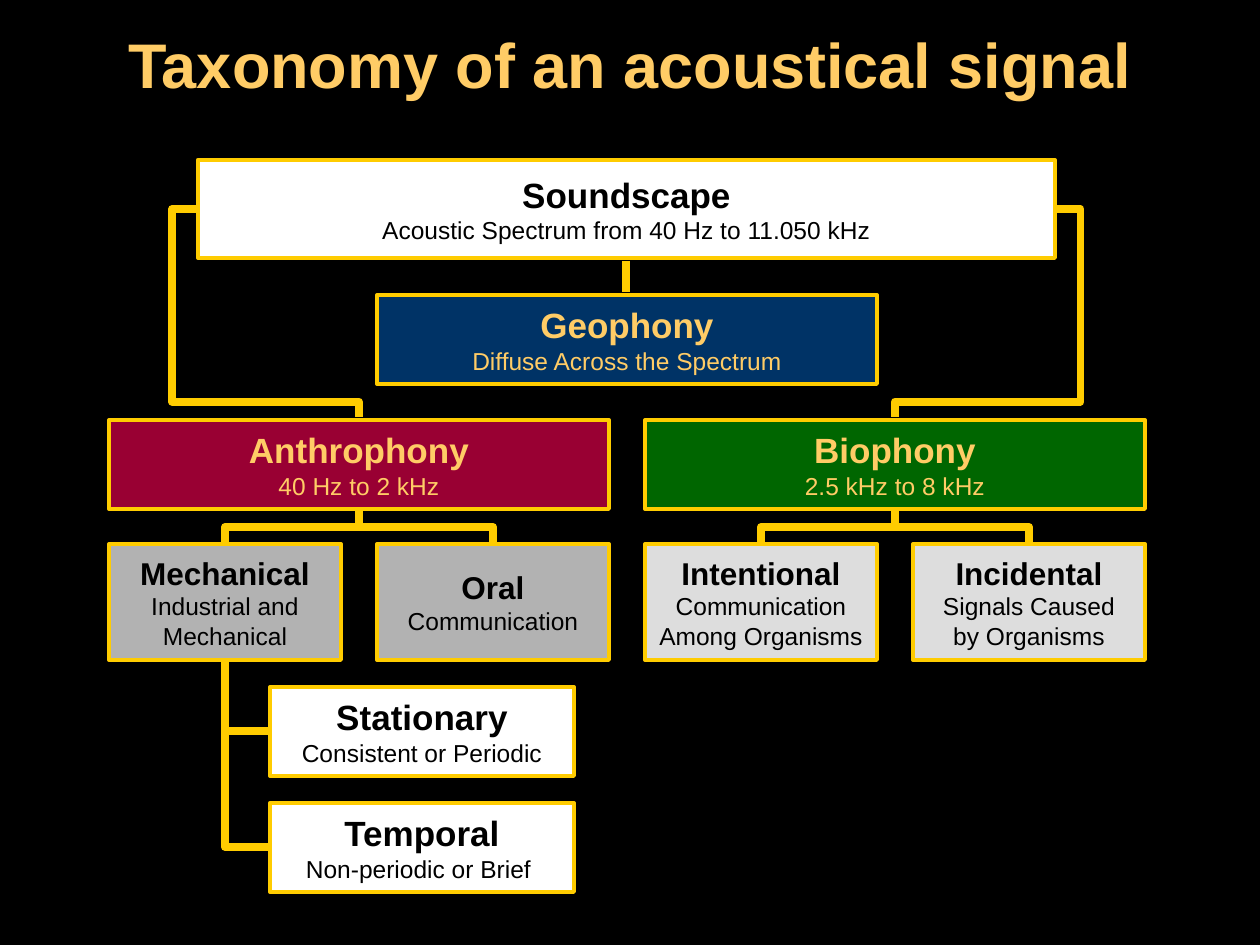
"""Build a slide with a tree of the parts of an acoustical signal."""
from lxml.etree import SubElement
from pptx import Presentation
from pptx.dml.color import RGBColor
from pptx.enum.shapes import MSO_CONNECTOR, MSO_SHAPE
from pptx.enum.text import MSO_ANCHOR, PP_ALIGN
from pptx.oxml.ns import qn
from pptx.util import Pt

PX = 914400 // 126
BLACK = RGBColor(0x00, 0x00, 0x00)
WHITE = RGBColor(0xFF, 0xFF, 0xFF)
GOLD = RGBColor(0xFF, 0xCC, 0x00)
SAND = RGBColor(0xFF, 0xCC, 0x66)
NAVY = RGBColor(0x00, 0x33, 0x66)
GREEN = RGBColor(0x00, 0x66, 0x00)
WINE = RGBColor(0x99, 0x00, 0x33)
PALE = RGBColor(0xDD, 0xDD, 0xDD)
GRAY = RGBColor(0xB2, 0xB2, 0xB2)

TITLE = "Taxonomy of an acoustical signal"
ROOT = ("Soundscape", "Acoustic Spectrum from 40 Hz to 11.050 kHz")
GEO = ("Geophony", "Diffuse Across the Spectrum")
BRANCHES = [
    (("Anthrophony", "40 Hz to 2 kHz"), WINE, GRAY, [
        ("Mechanical", "Industrial and", "Mechanical"),
        ("Oral", "Communication")]),
    (("Biophony", "2.5 kHz to 8 kHz"), GREEN, PALE, [
        ("Intentional", "Communication", "Among Organisms"),
        ("Incidental", "Signals Caused", "by Organisms")]),
]
KINDS = [("Stationary", "Consistent or Periodic"),
         ("Temporal", "Non-periodic or Brief ")]

LEFT, STEP, SLIM = 109, 268, 232
WIDE, LOW = STEP + SLIM, 89
ROOT_X, ROOT_Y, ROOT_W, ROOT_H = 198, 160, 857, 98
GEO_Y, MID_Y, LEAF_Y, LEAF_H = 295, 420, 544, 116
KIND_X, KIND_Y, KIND_W, KIND_GAP = 270, 687, 304, 116


def write(para, text, size, color, bold):
    para.alignment = PP_ALIGN.CENTER
    run = para.add_run()
    run.text = text
    font = run.font
    font.name, font.size, font.bold = "Arial", Pt(size), bold
    font.color.rgb = color


def add_box(slide, lines, x, y, w, h, fill, ink=BLACK, size=20):
    box = slide.shapes.add_shape(
        MSO_SHAPE.RECTANGLE, *(n * PX for n in (x, y, w, h)))
    box.shadow.inherit = False
    box.fill.solid()
    box.fill.fore_color.rgb = fill
    box.line.color.rgb = GOLD
    box.line.width = Pt(2.25)
    frame = box.text_frame
    frame.word_wrap = False
    frame.vertical_anchor = MSO_ANCHOR.MIDDLE
    for i, line in enumerate(lines):
        para = frame.add_paragraph() if i else frame.paragraphs[0]
        write(para, line, 14 if i else size, ink, i == 0)


def add_link(slide, start, end, preset="line", adjust=()):
    link = slide.shapes.add_connector(
        MSO_CONNECTOR.STRAIGHT, *(n * PX for n in (*start, *end)))
    link.line.color.rgb = GOLD
    link.line.width = Pt(4.5)
    props = link._element.spPr
    SubElement(props, qn("a:effectLst"))
    geom = props.find(qn("a:prstGeom"))
    geom.set("prst", preset)
    guides = geom.find(qn("a:avLst"))
    for i, value in enumerate(adjust, 1):
        name = f"adj{i}"
        SubElement(guides, qn("a:gd"), name=name, fmla=f"val {value}")
    return link


def add_fork(slide, start, end):
    (x, y), (to_x, to_y) = start, end
    w, h = to_y - y, abs(to_x - x)
    left, top = (x + to_x - w) // 2, (y + to_y - h) // 2
    link = add_link(slide, (left, top), (left + w, top + h),
                    "bentConnector3", [50000])
    frame = link._element.spPr.find(qn("a:xfrm"))
    frame.set("rot", str((90 if to_x < x else 270) * 60000))
    if to_x > x:
        frame.set("flipH", "1")


def add_tree(slide):
    mid = ROOT_X + ROOT_W // 2
    add_box(slide, ROOT, ROOT_X, ROOT_Y, ROOT_W, ROOT_H, WHITE)
    add_box(slide, GEO, LEFT + STEP, GEO_Y, WIDE, LOW, NAVY, SAND)
    add_link(slide, (mid, ROOT_Y + ROOT_H + 3), (mid, GEO_Y - 3))
    for i, (lines, fill, tint, leaves) in enumerate(BRANCHES):
        x = LEFT + 2 * i * STEP
        mid = x + WIDE // 2
        add_box(slide, lines, x, MID_Y, WIDE, LOW, fill, SAND)
        side = ROOT_X + i * ROOT_W
        add_link(slide, (side, ROOT_Y + ROOT_H // 2), (mid, MID_Y - 3),
                 "bentConnector4", [-16000, 92600])
        for j, leaf in enumerate(leaves):
            col = x + j * STEP
            add_box(slide, leaf, col, LEAF_Y, SLIM, LEAF_H, tint, size=18)
            add_fork(slide, (mid, MID_Y + LOW + 2),
                     (col + SLIM // 2, LEAF_Y - 1))
    stem = (LEFT + SLIM // 2, LEAF_Y + LEAF_H + 1)
    for i, lines in enumerate(KINDS):
        y = KIND_Y + i * KIND_GAP
        add_box(slide, lines, KIND_X, y, KIND_W, LOW, WHITE)
        add_link(slide, (KIND_X - 2, y + LOW // 2), stem, "bentConnector2")


def main():
    deck = Presentation()
    deck.slide_width, deck.slide_height = 1260 * PX, 945 * PX
    slide = deck.slides.add_slide(deck.slide_layouts[5])
    slide.background.fill.solid()
    slide.background.fill.fore_color.rgb = BLACK
    title = slide.shapes.title
    title.left, title.top, title.width, title.height = (
        n * PX for n in (63, 0, 1134, 126))
    title.text_frame.vertical_anchor = MSO_ANCHOR.MIDDLE
    write(title.text_frame.paragraphs[0], TITLE, 36, SAND, True)
    add_tree(slide)
    deck.save("out.pptx")


if __name__ == "__main__":
    main()
